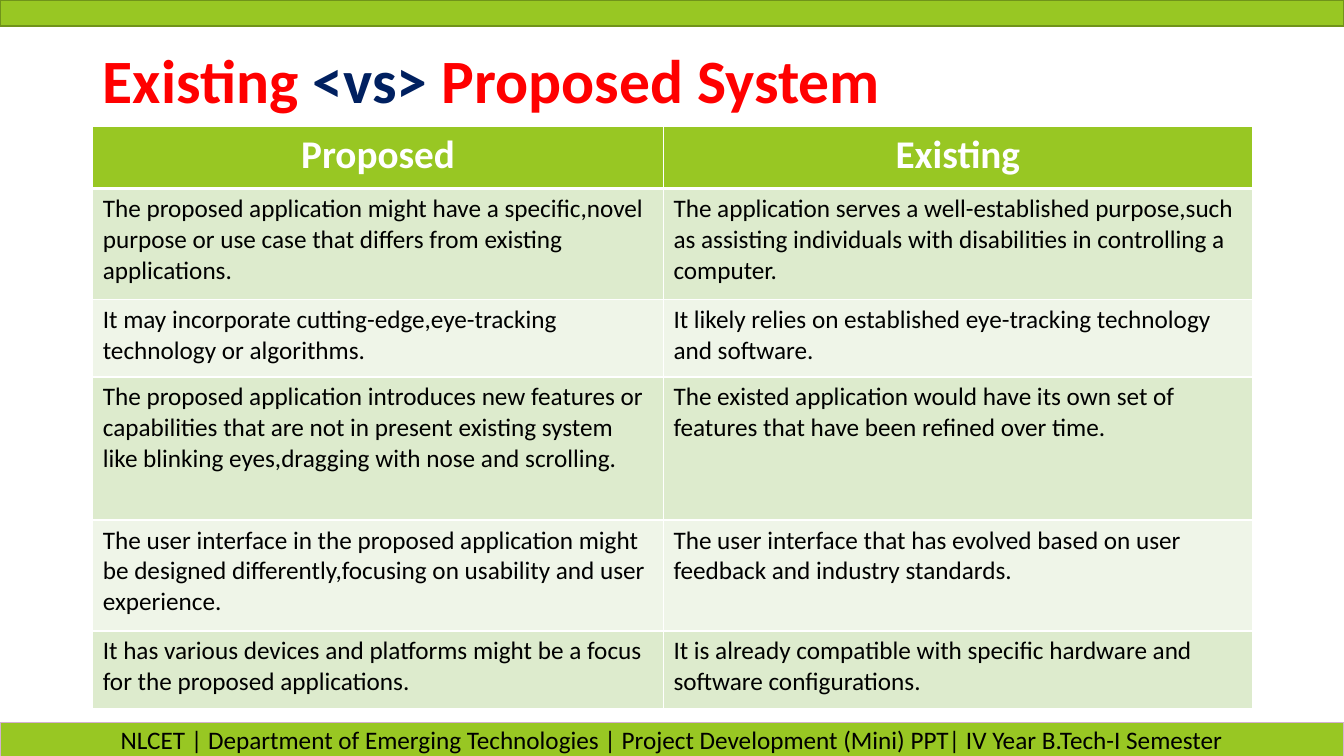
from dataclasses import dataclass

from lxml import etree
from pptx import Presentation
from pptx.dml.color import RGBColor
from pptx.enum.shapes import MSO_SHAPE
from pptx.enum.text import MSO_ANCHOR, MSO_AUTO_SIZE, PP_ALIGN
from pptx.oxml.ns import qn
from pptx.util import Inches, Pt

RECT = MSO_SHAPE.RECTANGLE
MIDDLE = MSO_ANCHOR.MIDDLE
NO_FIT = MSO_AUTO_SIZE.NONE
LEFT, CENTER = PP_ALIGN.LEFT, PP_ALIGN.CENTER
TITLE_ONLY = 5


@dataclass(frozen=True)
class Theme:
    """Colours, font and type sizes of the slide."""
    font: str = "Calibri"
    green: str = "98C723"
    edge: str = "70931A"
    pink: str = "D4B0D2"
    red: str = "FF0000"
    navy: str = "002060"
    black: str = "000000"
    white: str = "FFFFFF"
    bands: tuple = ("DDEBCD", "EFF5E8")
    title: int = 44
    head: int = 28
    body: int = 18


def rgb(code):
    """Turn a hex code into a colour."""
    return RGBColor.from_string(code)


def inches(*sizes):
    """Turn numbers into lengths."""
    return [Inches(size) for size in sizes]


class Deck:
    """Holds the theme and the current slide."""

    def __init__(self, theme, slide):
        """Keep the theme and the slide."""
        self.theme, self.slide = theme, slide

    def style(self, para, size, color=None, bold=False, align=LEFT):
        """Set the font and alignment of a paragraph."""
        para.alignment = align
        font = para.font
        font.name, font.size, font.bold = self.theme.font, Pt(size), bold
        if color:
            font.color.rgb = rgb(color)

    def title(self, box, parts):
        """Place the title and colour its parts."""
        shape = self.slide.shapes.title
        shape.left, shape.top, shape.width, shape.height = inches(*box)
        frame = shape.text_frame
        frame.auto_size, frame.vertical_anchor = NO_FIT, MIDDLE
        para = frame.paragraphs[0]
        para.line_spacing = 0.9
        self.style(para, self.theme.title, bold=True)
        for text, color in parts:
            run = para.add_run()
            run.text = text
            run.font.color.rgb = rgb(color)

    def band(self, box, line, text=""):
        """Draw a green band, with centred text if given."""
        shape = self.slide.shapes.add_shape(RECT, *inches(*box))
        shape.shadow.inherit = False
        shape.fill.solid()
        shape.fill.fore_color.rgb = rgb(self.theme.green)
        shape.line.color.rgb = rgb(line)
        shape.line.width = Pt(1)
        if text:
            frame = shape.text_frame
            frame.text, frame.vertical_anchor = text, MIDDLE
            self.style(frame.paragraphs[0], self.theme.body,
                       self.theme.black, align=CENTER)

    def border(self, cell, top, bottom):
        """Draw white lines round a cell, with widths in points."""
        props = cell._tc.get_or_add_tcPr()
        for side, width in zip("LRTB", (1, 1, top, bottom)):
            line = etree.SubElement(props, qn(f"a:ln{side}"), w=str(Pt(width)))
            fill = etree.SubElement(line, qn("a:solidFill"))
            etree.SubElement(fill, qn("a:srgbClr"), val=self.theme.white)

    def cell(self, cell, text, row):
        """Fill one table cell in the style of its row."""
        theme, head = self.theme, row == 0
        self.border(cell, 3 if row == 1 else 1, 3 if head else 1)
        cell.fill.solid()
        shade = theme.green if head else theme.bands[(row - 1) % 2]
        cell.fill.fore_color.rgb = rgb(shade)
        cell.text = text
        para = cell.text_frame.paragraphs[0]
        if head:
            self.style(para, theme.head, theme.white, True, CENTER)
        else:
            self.style(para, theme.body, theme.black)

    def table(self, spot, widths, heights, rows):
        """Build the table from rows of text."""
        box = inches(*spot, sum(widths), sum(heights))
        table = self.slide.shapes.add_table(len(rows), len(widths), *box).table
        for col, width in zip(table.columns, widths):
            col.width = Inches(width)
        for i, (texts, height) in enumerate(zip(rows, heights)):
            table.rows[i].height = Inches(height)
            for j, text in enumerate(texts):
                self.cell(table.cell(i, j), text, i)


ROWS = [
    ("Proposed", "Existing"),
    ("The proposed application might have a specific,novel purpose or use "
     "case that differs from existing applications.",
     "The application serves a well-established purpose,such as assisting "
     "individuals with disabilities in controlling a computer."),
    ("It may incorporate cutting-edge,eye-tracking technology or algorithms.",
     "It likely relies on established eye-tracking technology and software."),
    ("The proposed application introduces new features or capabilities that "
     "are not in present existing system like blinking eyes,dragging with "
     "nose and scrolling.",
     "The existed application would have its own set of features that have "
     "been refined over time."),
    ("The user interface in the proposed application might be designed "
     "differently,focusing on usability and user experience.",
     "The user interface that has evolved based on user feedback and "
     "industry standards."),
    ("It has various devices and platforms might be a focus for the proposed "
     "applications.",
     "It is already compatible with specific hardware and software "
     "configurations."),
]
FOOTER = ("NLCET | Department of Emerging Technologies | Project Development "
          "(Mini) PPT| IV Year B.Tech-I Semester")


def main():
    """Build and save the slide."""
    show = Presentation()
    show.slide_width, show.slide_height = inches(13.33, 7.5)
    theme = Theme()
    deck = Deck(theme, show.slides.add_slide(show.slide_layouts[TITLE_ONLY]))
    deck.band((0, 0, 13.33, 0.26), theme.edge)
    deck.band((0, 7.17, 13.33, 0.34), theme.pink, FOOTER)
    deck.title((0.92, 0.4, 11.5, 0.85),
               [("Existing ", theme.red), ("<vs> ", theme.navy),
                ("Proposed System", theme.red)])
    deck.table((0.92, 1.25), (5.66, 5.84),
               (0.62, 1.1, 0.77, 1.42, 1.1, 0.77), ROWS)
    show.save("out.pptx")


main()
